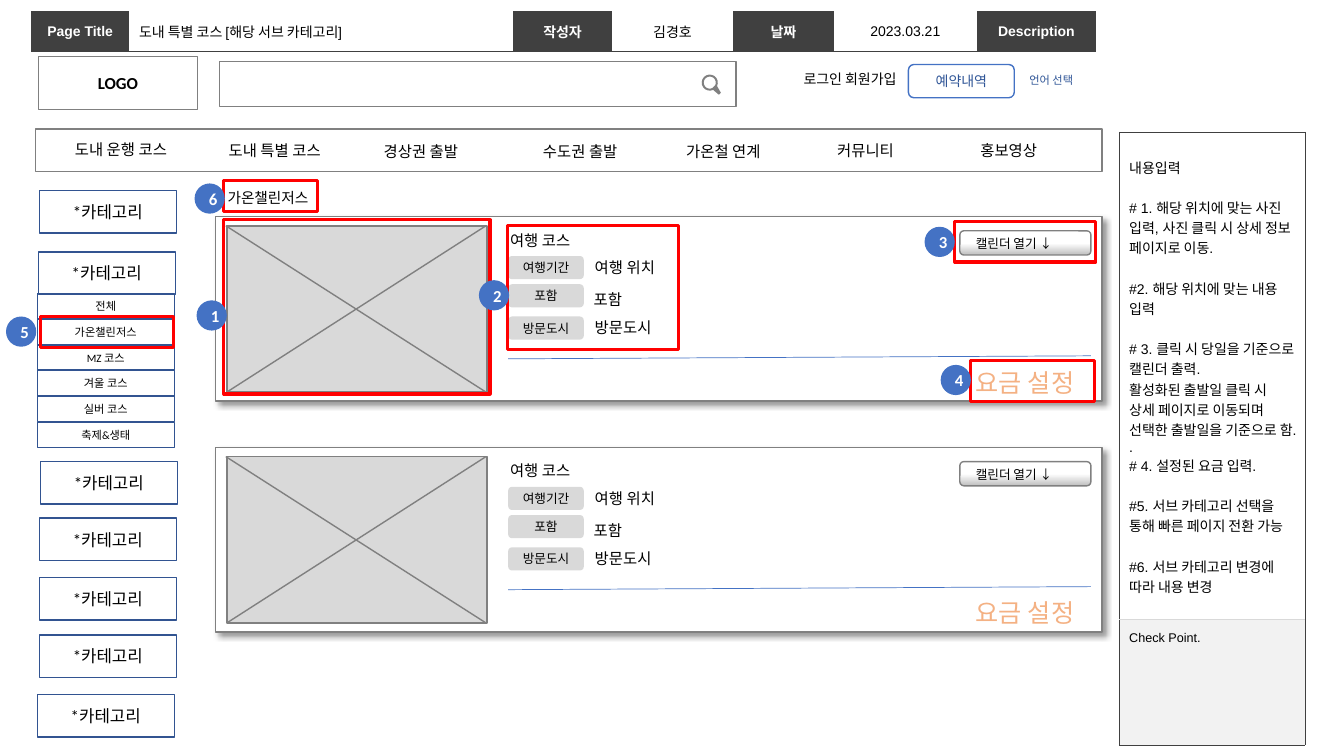
"""Build the wireframe slide for the special course listing page."""
from math import cos, radians, sin

from lxml.etree import SubElement
from pptx import Presentation
from pptx.dml.color import RGBColor
from pptx.enum.shapes import MSO_CONNECTOR, MSO_SHAPE as SHAPE
from pptx.enum.text import MSO_ANCHOR as ANCHOR, PP_ALIGN as ALIGN
from pptx.oxml import parse_xml
from pptx.oxml.ns import nsdecls, qn
from pptx.util import Inches, Pt

BLACK = RGBColor(0, 0, 0)
WHITE = RGBColor(0xFF, 0xFF, 0xFF)
GRAY = RGBColor(0x80, 0x80, 0x80)
LIGHT = RGBColor(0xD9, 0xD9, 0xD9)
PALE = RGBColor(0xF2, 0xF2, 0xF2)
SILVER = RGBColor(0xBF, 0xBF, 0xBF)
DARK = RGBColor(0x40, 0x40, 0x40)
BLUE = RGBColor(0x44, 0x72, 0xC4)
NAVY = RGBColor(0x2F, 0x55, 0x97)
MENU_BLUE = RGBColor(0x32, 0x54, 0x91)
ORANGE = RGBColor(0xF4, 0xB1, 0x83)
RED = RGBColor(0xFF, 0, 0)
NO_STYLE = "{2D5ABB26-0587-4C30-8999-92F81FD0307C}"

prs = Presentation()
prs.slide_width, prs.slide_height = Inches(13.33), Inches(7.5)
slide = prs.slides.add_slide(prs.slide_layouts[6])
shapes = slide.shapes


def write(frame, text, size=11, color=BLACK, bold=False, font="Calibri",
          align=ALIGN.LEFT, spacing=None, gaps=()):
    for index, line in enumerate(text.split("\n")):
        par = frame.add_paragraph() if index else frame.paragraphs[0]
        par.alignment = align
        par.line_spacing = spacing
        if index in gaps:
            par.space_before = Pt(14.4)
        run = par.add_run()
        run.text = line
        run.font.size, run.font.bold, run.font.name = Pt(size), bold, font
        run.font.color.rgb = color


def draw(kind, box, text="", fill=None, line=None, weight=1, wrap=True,
         anchor=ANCHOR.MIDDLE, **style):
    place = [Inches(value) for value in box]
    if kind is None:
        item = shapes.add_textbox(*place)
    else:
        item = shapes.add_shape(kind, *place)
        item.shadow.inherit = False
        style.setdefault("align", ALIGN.CENTER)
        if fill is None:
            item.fill.background()
        else:
            item.fill.solid()
            item.fill.fore_color.rgb = fill
        if line is None:
            item.line.fill.background()
        else:
            item.line.color.rgb = line
            item.line.width = Pt(weight)
    item.text_frame.word_wrap = wrap
    item.text_frame.vertical_anchor = anchor
    if text:
        write(item.text_frame, text, **style)
    return item


draw(None, (2.16, 1.78, 1.13, 0.36), "가온챌린저스", size=10.5)
for dy in (0, 2.29):
    card = draw(SHAPE.RECTANGLE, (2.14, 2.15 + dy, 8.79, 1.83), fill=WHITE, line=GRAY)
    effects = card.element.spPr.find(qn("a:effectLst"))
    shadow = SubElement(effects, qn("a:outerShdw"), blurRad=str(Pt(4)), dist=str(Pt(3)),
                        dir="2700000", algn="tl", rotWithShape="0")
    tint = SubElement(shadow, qn("a:srgbClr"), val="000000")
    SubElement(tint, qn("a:alpha"), val="40000")

    draw(SHAPE.FLOWCHART_PROCESS, (2.25, 2.24 + dy, 2.58, 1.65), fill=LIGHT, line=GRAY)
    for x1, y1, x2, y2, color, weight in (
            (2.24, 2.24, 4.82, 3.89, GRAY, 1),
            (4.82, 2.24, 2.25, 3.89, GRAY, 1),
            (5.04, 3.56, 10.82, 3.53, BLUE, 0.5)):
        stroke = shapes.add_connector(MSO_CONNECTOR.STRAIGHT, Inches(x1), Inches(y1 + dy),
                                      Inches(x2), Inches(y2 + dy))
        stroke.line.color.rgb, stroke.line.width = color, Pt(weight)
        SubElement(stroke.element.spPr, qn("a:effectLst"))

    draw(None, (4.96, 2.24 + dy, 1.09, 0.29), "여행 코스", anchor=ANCHOR.TOP)
    for label, label_top, value, value_left, value_top in (
            ("여행기간", 2.54, "여행 위치", 5.8, 2.51),
            ("포함", 2.82, "포함", 5.79, 2.83),
            ("방문도시", 3.14, "방문도시", 5.8, 3.11)):
        draw(SHAPE.ROUNDED_RECTANGLE, (5.04, label_top + dy, 0.75, 0.23), label,
             fill=LIGHT, size=9)
        draw(None, (value_left, value_top + dy, 1.09, 0.29), value, anchor=ANCHOR.TOP)

    calendar = draw(SHAPE.ROUNDED_RECTANGLE, (9.52, 2.29 + dy, 1.3, 0.24), line=GRAY)
    calendar.fill.gradient()
    calendar.fill.gradient_angle = 90
    for stop, color, position in zip(calendar.fill.gradient_stops, (SILVER, WHITE), (0, 0.49)):
        stop.color.rgb, stop.position = color, position
    draw(None, (9.58, 2.29 + dy, 1, 0.25), "캘린더 열기 ↓", size=9, wrap=False,
         anchor=ANCHOR.TOP)
    draw(None, (9.58, 3.59 + dy, 1.86, 0.4), "요금 설정", size=18, color=ORANGE,
         anchor=ANCHOR.TOP)

draw(SHAPE.RECTANGLE, (0.38, 0.56, 1.58, 0.53), "LOGO", fill=WHITE, line=GRAY,
     size=12, bold=True)
draw(SHAPE.RECTANGLE, (2.18, 0.61, 5.12, 0.45), fill=WHITE, line=GRAY)
rim, hole = [[(Inches(7.04 + radius * cos(radians(angle))),
               Inches(0.82 + radius * sin(radians(angle)))) for angle in range(65, 386, 20)]
             for radius in (0.08, 0.06)]
rim += [(Inches(7.15), Inches(0.92)), (Inches(7.13), Inches(0.94))]
outline = shapes.build_freeform(*rim[0])
outline.add_line_segments(rim[1:])
outline.move_to(*hole[0])
outline.add_line_segments(hole[1:])
magnifier = outline.convert_to_shape()
magnifier.shadow.inherit = False
magnifier.fill.solid()
magnifier.fill.fore_color.rgb = GRAY
magnifier.line.fill.background()

draw(None, (7.39, 0.65, 1.6, 0.27), "로그인 회원가입", size=10, font="Arial",
     align=ALIGN.RIGHT, wrap=False, anchor=ANCHOR.TOP)
draw(SHAPE.ROUNDED_RECTANGLE, (9.01, 0.64, 1.05, 0.33), "예약내역", line=BLUE, size=10,
     color=NAVY)
draw(None, (10.11, 0.68, 0.81, 0.24), "언어 선택", size=8, color=NAVY, anchor=ANCHOR.TOP)

draw(SHAPE.RECTANGLE, (0.35, 1.28, 10.58, 0.42), fill=WHITE, line=GRAY)
for menu, left, top, width in (
        ("도내 운행 코스", 0.4, 1.34, 1.6), ("도내 특별 코스", 1.97, 1.35, 1.51),
        ("경상권 출발", 3.55, 1.36, 1.25), ("수도권 출발", 5.13, 1.36, 1.25),
        ("가온철 연계", 6.55, 1.36, 1.25), ("커뮤니티", 7.96, 1.35, 1.25),
        ("홍보영상", 9.38, 1.35, 1.25)):
    draw(None, (left, top, width, 0.29), menu, align=ALIGN.CENTER)

for left, top in ((0.39, 1.89), (0.38, 2.5), (0.4, 4.58), (0.39, 5.14), (0.39, 5.73),
                  (0.39, 6.3), (0.37, 6.89)):
    draw(SHAPE.RECTANGLE, (left, top, 1.36, 0.42), "*카테고리", line=MENU_BLUE, size=12)
for row, name in enumerate(("전체", "가온챌린저스", "MZ 코스", "겨울 코스", "실버 코스",
                            "축제&생태")):
    draw(SHAPE.RECTANGLE, (0.37, 2.91 + row * 0.256, 1.36, 0.25), name, line=MENU_BLUE, size=8)

for number, badge_left, badge_top, area in (
        (1, 1.95, 2.98, (2.22, 2.18, 2.64, 1.73)), (2, 4.75, 2.78, (5.03, 2.24, 1.7, 1.23)),
        (3, 9.17, 2.25, (9.47, 2.2, 1.4, 0.4)), (4, 9.33, 3.62, (9.63, 3.58, 1.23, 0.4)),
        (5, 0.06, 3.14, (0.4, 3.14, 1.32, 0.31)), (6, 1.93, 1.82, (2.22, 1.79, 0.93, 0.31))):
    draw(SHAPE.RECTANGLE, area, line=RED, weight=2.25)
    draw(SHAPE.OVAL, (badge_left, badge_top, 0.3, 0.3), str(number), fill=BLUE, size=12,
         color=WHITE, bold=True)

NOTES = """내용입력
# 1. 해당 위치에 맞는 사진 입력, 사진 클릭 시 상세 정보 페이지로 이동.
#2. 해당 위치에 맞는 내용 입력
# 3. 클릭 시 당일을 기준으로 캘린더 출력.
활성화된 출발일 클릭 시 상세 페이지로 이동되며 선택한 출발일을 기준으로 함.
.
# 4. 설정된 요금 입력.
#5. 서브 카테고리 선택을 통해 빠른 페이지 전환 가능
#6. 서브 카테고리 변경에 따라 내용 변경"""
HEADINGS = ("Page Title", "도내 특별 코스 [해당 서브 카테고리]", "작성자", "김경호", "날짜",
            "2023.03.21", "Description")
header_cells = []
for column, heading in enumerate(HEADINGS):
    is_label = column % 2 == 0
    header_cells.append((heading, DARK if is_label else WHITE, {"B": DARK}, dict(
        size=10, bold=is_label, color=WHITE if is_label else BLACK,
        align=ALIGN.LEFT if column == 1 else ALIGN.CENTER)))
header_cells.append(("", WHITE, {}, {}))
note_cells = [
    (NOTES, WHITE, {"L": DARK, "R": DARK, "T": DARK, "B": LIGHT},
     dict(size=10, gaps=(1, 2, 3, 7, 8))),
    ("Check Point.", PALE, {"L": DARK, "R": DARK, "T": LIGHT, "B": DARK},
     dict(size=9, spacing=1.5))]

for left, top, widths, heights, contents, anchor in (
        (11.1, 1.31, (1.84,), (4.83, 1.25), note_cells, ANCHOR.TOP),
        (0.31, 0.11, (0.97, 3.81, 0.98, 1.2, 1, 1.42, 1.18, 1.78), (0.32,), header_cells,
         ANCHOR.MIDDLE)):
    table = shapes.add_table(len(heights), len(widths), Inches(left), Inches(top),
                             Inches(sum(widths)), Inches(sum(heights))).table
    table.first_row = table.horz_banding = False
    table._tbl.tblPr.find(qn("a:tableStyleId")).text = NO_STYLE
    for column, width in zip(table.columns, widths):
        column.width = Inches(width)
    for row, height in zip(table.rows, heights):
        row.height = Inches(height)
    for cell, (text, fill, borders, style) in zip(table.iter_cells(), contents):
        cell.vertical_anchor = anchor
        if text == NOTES:
            cell.margin_top = Inches(0.25)
        if text:
            write(cell.text_frame, text, font="Arial", **style)
        for side, color in borders.items():
            cell._tc.get_or_add_tcPr().append(parse_xml(
                f'<a:ln{side} {nsdecls("a")} w="{Pt(0.25)}"><a:solidFill>'
                f'<a:srgbClr val="{color}"/></a:solidFill></a:ln{side}>'))
        cell.fill.solid()
        cell.fill.fore_color.rgb = fill

prs.save("out.pptx")
